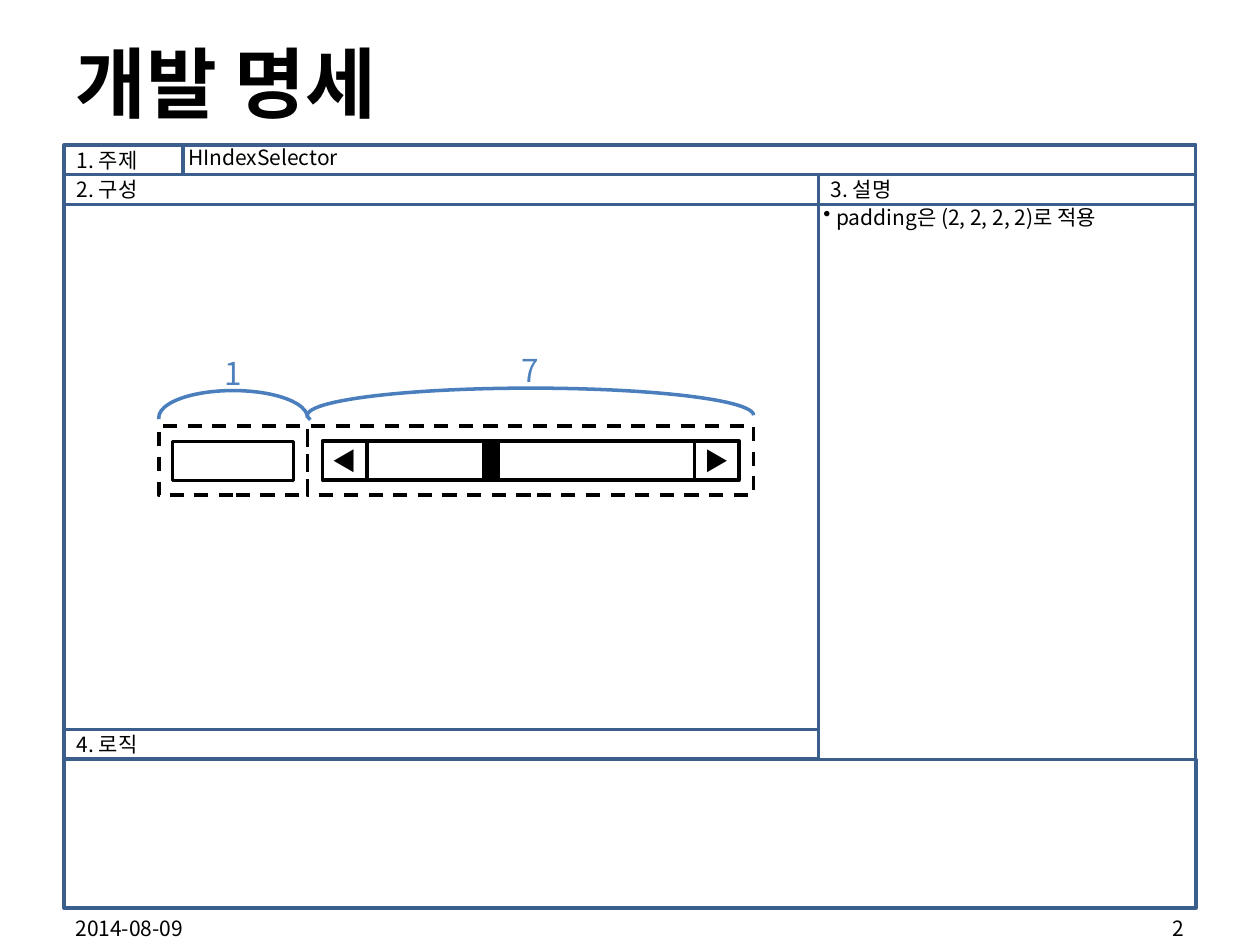
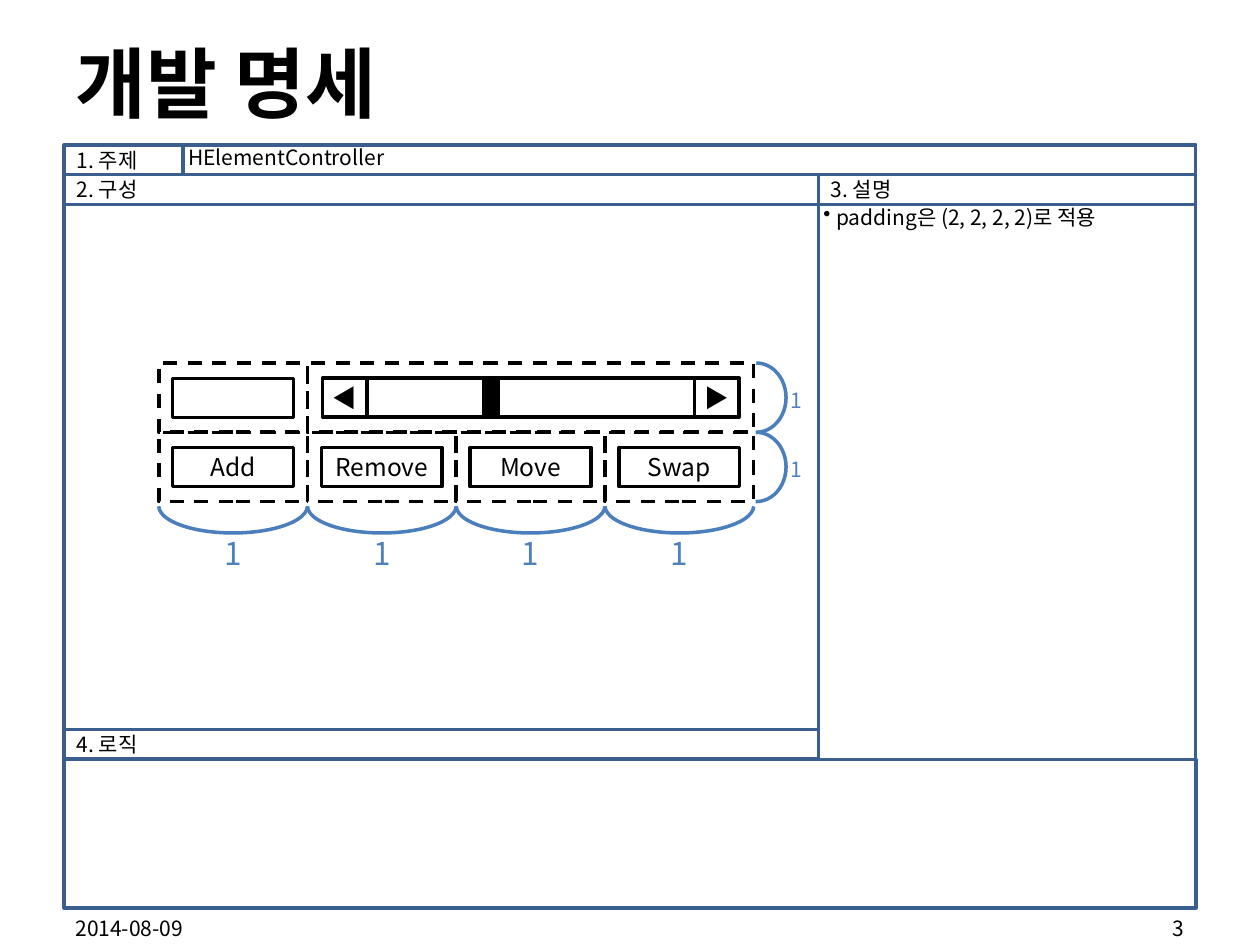
import pptx
import pptx.util
import pptx.dml.color
import pptx.enum.dml
import pptx.enum.shapes
import pptx.enum.text
import pptx.oxml
import pptx.oxml.ns
import lxml.etree

Pt = pptx.util.Pt
ALIGN = pptx.enum.text.PP_ALIGN
ANCHOR = pptx.enum.text.MSO_ANCHOR
SHAPE = pptx.enum.shapes.MSO_SHAPE

FONT = "Noto Sans CJK KR"
COLORS = {"paper": "FFFFFF", "ink": "000000", "frame": "3A5F8C",
          "arc": "4B7EBC", "ratio": "4F81BD"}
LINE_WIDTH = 2
DEFAULT_INSETS = (7.2, 3.6, 7.2, 3.6)
BODY_INSETS = (2.88, 0, 2.88, 0)
NO_INSETS = (0, 0, 0, 0)

# Specification form
FORM_BOX = (36.7, 82.8, 646.6, 436.1)
ROW_HEIGHT = 17
TOPIC_WIDTH = 68
LAYOUT_WIDTH = 431
LOGIC_HEIGHT = 85

# Wireframe grid: four columns, one of them for the index field
GRID_LEFT = 90.7
CELL_WIDTH, CELL_HEIGHT = 85, 39.6
ARC_HEIGHT = 31
# Arc ends: degrees times 0.6
ARC_TOP = (107.3, 0)
ARC_BOTTOM = (0.27, 107.78)
ARC_RIGHT = (162, 54.8)


def rgb(name):
    return pptx.dml.color.RGBColor.from_string(COLORS[name])


def lengths(box):
    return [Pt(value) for value in box]


def write(shape, text, size, color="ink", align=ALIGN.LEFT, anchor=ANCHOR.MIDDLE,
          insets=DEFAULT_INSETS, wrap=True, bold=False):
    frame = shape.text_frame
    frame.text = text
    frame.word_wrap = wrap
    frame.vertical_anchor = anchor
    (frame.margin_left, frame.margin_top,
     frame.margin_right, frame.margin_bottom) = lengths(insets)
    paragraph = frame.paragraphs[0]
    paragraph.alignment = align
    font = paragraph.runs[0].font
    font.name, font.size, font.bold = FONT, Pt(size), bold
    font.color.rgb = rgb(color)
    # East Asian text takes its own font entry
    east_asian = lxml.etree.SubElement(font._element, pptx.oxml.ns.qn("a:ea"))
    east_asian.set("typeface", FONT)
    return paragraph


def add_text(shapes, box, text, size, **style):
    return write(shapes.add_textbox(*lengths(box)), text, size, **style)


def add_outline(shapes, kind, box, line, fill=None, dashed=False):
    shape = shapes.add_shape(kind, *lengths(box))
    shape.shadow.inherit = False
    if fill:
        shape.fill.solid()
        shape.fill.fore_color.rgb = rgb(fill)
    else:
        shape.fill.background()
    shape.line.color.rgb = rgb(line)
    shape.line.width = Pt(LINE_WIDTH)
    if dashed:
        shape.line.dash_style = pptx.enum.dml.MSO_LINE.DASH
    return shape


def add_bullet(paragraph, indent):
    properties = paragraph._p.get_or_add_pPr()
    properties.set("marL", str(Pt(indent)))
    properties.set("indent", str(-Pt(indent)))
    bullet = lxml.etree.SubElement(properties, pptx.oxml.ns.qn("a:buChar"))
    bullet.set("char", "•")


def add_form(slide, box, topic, note):
    """The ruled form with its four numbered sections."""
    left, top, width, height = box
    shapes = slide.shapes
    side_left, side_width = left + LAYOUT_WIDTH, width - LAYOUT_WIDTH
    heading_top = top + ROW_HEIGHT
    content_top = heading_top + ROW_HEIGHT
    logic_top = top + height - LOGIC_HEIGHT
    logic_heading_top = logic_top - ROW_HEIGHT
    topic_box = (left + TOPIC_WIDTH, top, width - TOPIC_WIDTH, ROW_HEIGHT)
    note_box = (side_left, content_top, side_width, logic_top - content_top)
    layout_box = (left, content_top, LAYOUT_WIDTH, logic_heading_top - content_top)
    logic_box = (left, logic_top, width, LOGIC_HEIGHT)

    # Empty fields
    for field in (logic_box, topic_box, layout_box, note_box):
        add_outline(shapes, SHAPE.RECTANGLE, field, "frame", "paper")
    # Section headings
    for x, y, heading_width, text in (
            (side_left, heading_top, side_width, "3. 설명"),
            (left, top, TOPIC_WIDTH, "1. 주제"),
            (left, heading_top, LAYOUT_WIDTH, "2. 구성"),
            (left, logic_heading_top, LAYOUT_WIDTH, "4. 로직")):
        heading = add_outline(shapes, SHAPE.RECTANGLE, (x, y, heading_width, ROW_HEIGHT),
                              "frame", "paper")
        write(heading, text, 12)
    # Entries
    add_text(shapes, topic_box, topic, 12, anchor=ANCHOR.TOP, insets=BODY_INSETS)
    add_bullet(add_text(shapes, note_box, note, 12, anchor=ANCHOR.TOP,
                        insets=BODY_INSETS), 7.2)


def add_spec_slide(presentation, number, topic):
    """Title, form and footer that every specification slide has."""
    slide = presentation.slides.add_slide(presentation.slide_layouts[6])
    add_form(slide, FORM_BOX, topic, "padding은 (2, 2, 2, 2)로 적용")
    add_text(slide.shapes, (36, 21.6, 296, 49.7), "개발 명세", 44, bold=True)
    add_text(slide.shapes, (36, 525, 168, 11), "2014-08-09", 12)
    add_text(slide.shapes, (516, 525, 168, 11), str(number), 12, align=ALIGN.RIGHT)
    return slide


def add_arc(shapes, box, ends):
    arc = add_outline(shapes, SHAPE.ARC, box, "arc")
    arc.adjustments[0], arc.adjustments[1] = ends


def add_ratio(slide, arc_box, ends, label_box, text, size=18, insets=NO_INSETS):
    """A bracket arc with the share of the span beside it."""
    shapes = slide.shapes.add_group_shape().shapes
    add_arc(shapes, arc_box, ends)
    add_text(shapes, label_box, text, size, color="ratio", align=ALIGN.CENTER,
             anchor=ANCHOR.TOP, insets=insets, wrap=False)


def add_control(shapes, box, text=None, size=14):
    control = add_outline(shapes, SHAPE.RECTANGLE, box, "ink", "paper")
    if text:
        write(control, text, size, align=ALIGN.CENTER, insets=NO_INSETS)


def add_cell(shapes, box):
    add_outline(shapes, SHAPE.RECTANGLE, box, "ink", dashed=True)


def add_field(shapes, cell, text=None):
    """A control inside its padded cell."""
    left, top, width, height = cell
    add_control(shapes, (left + 8, top + 8.8, width - 16, 22.3), text)


def add_index_row(shapes, left, top):
    """Index field and scroll bar with its two arrows."""
    field_cell = (left, top, CELL_WIDTH, CELL_HEIGHT)
    bar_cell = (left + CELL_WIDTH, top, 3 * CELL_WIDTH, CELL_HEIGHT)
    add_cell(shapes, field_cell)
    add_cell(shapes, bar_cell)
    add_field(shapes, field_cell)
    arrow_width, bar_height = 25.4, 22.3
    bar_left, bar_top = bar_cell[0] + 8.6, top + 8.6
    bar_right = bar_cell[0] + bar_cell[2] - 8.4
    add_control(shapes, (bar_left + arrow_width, bar_top,
                         bar_right - bar_left - 2 * arrow_width, bar_height))
    for x, arrow in ((bar_right - arrow_width, "▶"), (bar_left, "◀")):
        add_control(shapes, (x, bar_top, arrow_width, bar_height), arrow)
    # Thumb
    add_outline(shapes, SHAPE.RECTANGLE, (bar_cell[0] + 100.8, bar_top + 0.6, 8, 21.4),
                "ink", "ink")


def add_index_selector(slide, left, top):
    """One row, with the shares of its two cells above."""
    for x, columns, arc_top, share in ((left, 1, top - 20.2, "1"),
                                       (left + CELL_WIDTH, 3, top - 21.6, "7")):
        width = columns * CELL_WIDTH
        add_ratio(slide, (x, arc_top, width, ARC_HEIGHT), ARC_TOP,
                  (x + width / 2 - 12.2, arc_top - 24.5, 24.4, 28.8), share,
                  insets=DEFAULT_INSETS)
    add_index_row(slide.shapes.add_group_shape().shapes, left, top)


def add_element_controller(slide, left, top):
    """Index row above a row of buttons, with shares below and at the right."""
    buttons = ("Add", "Remove", "Move", "Swap")
    button_top = top + CELL_HEIGHT
    cells = [(left + column * CELL_WIDTH, button_top, CELL_WIDTH, CELL_HEIGHT)
             for column in range(len(buttons))]
    # Column shares
    for x, y, width, height in cells:
        arc_top = y + 26.6
        add_ratio(slide, (x, arc_top, width, ARC_HEIGHT), ARC_BOTTOM,
                  (x + width / 2 - 5, arc_top + 31.7, 10, 21.6), "1")
    # Cells, buttons and index row
    shapes = slide.shapes.add_group_shape().shapes
    for cell in cells:
        add_cell(shapes, cell)
    for cell, text in zip(cells, buttons):
        add_field(shapes, cell, text)
    add_index_row(shapes, left, top)
    # Row shares
    arc_left, arc_width = left + 4 * CELL_WIDTH - 15.5, 34
    for y in (top, button_top):
        add_ratio(slide, (arc_left, y, arc_width, CELL_HEIGHT), ARC_RIGHT,
                  (arc_left + arc_width, y + 14, 11.5, 14.4), "1", size=12)


presentation = pptx.Presentation()
presentation.slide_width, presentation.slide_height = Pt(720), Pt(540)

add_index_selector(add_spec_slide(presentation, 2, "HIndexSelector"), GRID_LEFT, 243.4)
add_element_controller(add_spec_slide(presentation, 3, "HElementController"),
                       GRID_LEFT, 207.4)

presentation.save("out.pptx")
